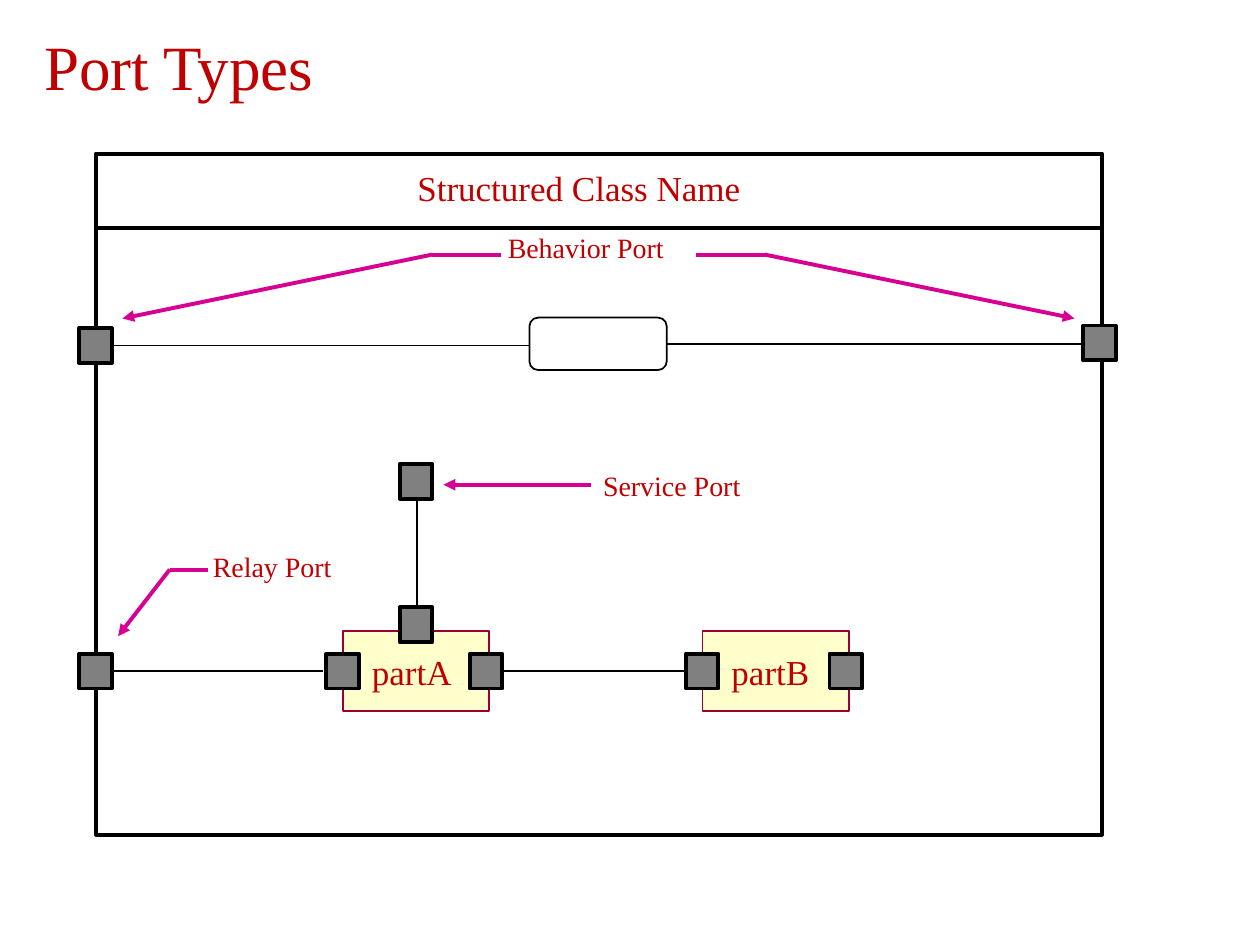
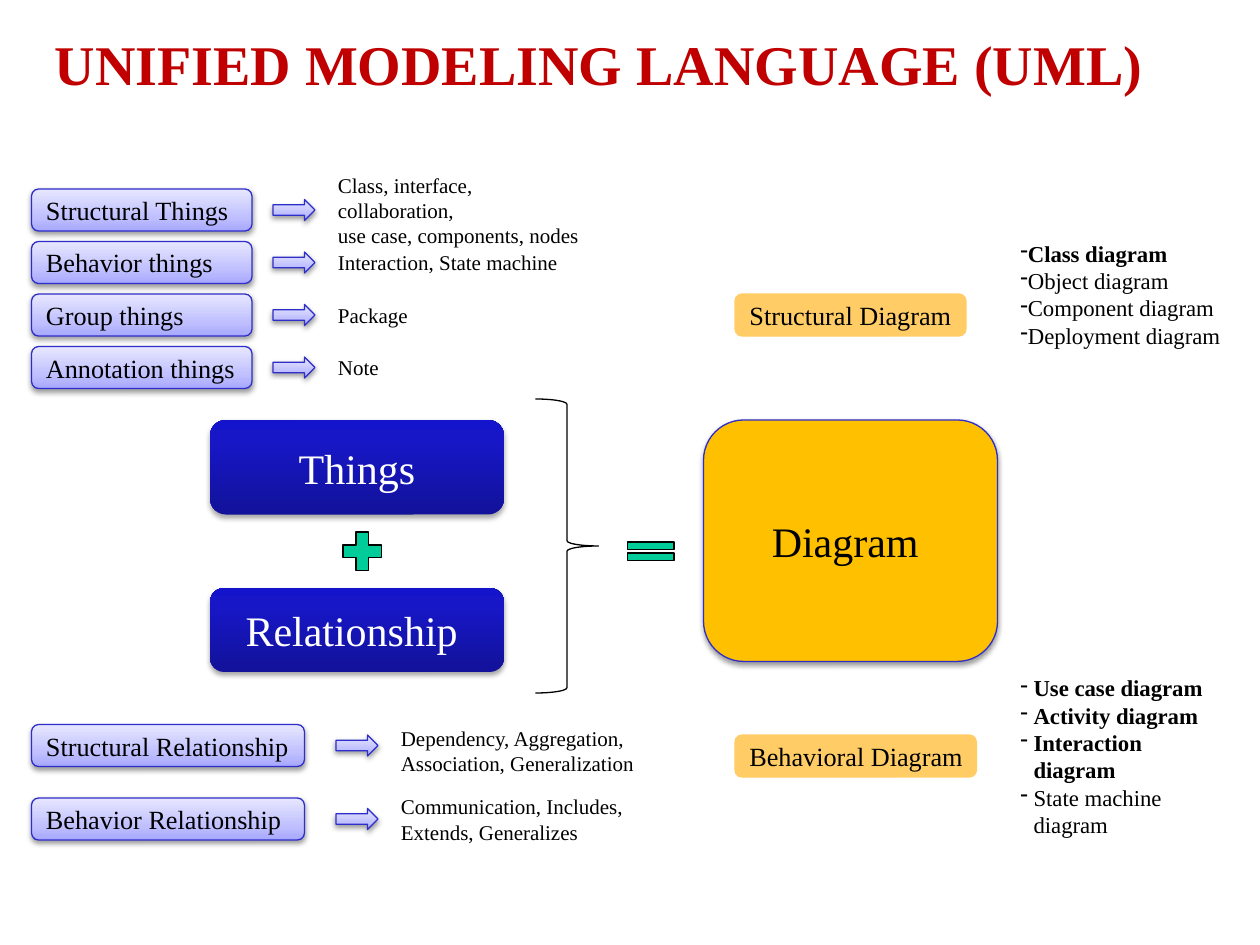
from lxml.etree import SubElement
from pptx import Presentation
from pptx.dml.color import RGBColor
from pptx.enum.shapes import MSO_CONNECTOR, MSO_SHAPE
from pptx.enum.text import MSO_ANCHOR, MSO_AUTO_SIZE, PP_ALIGN
from pptx.oxml import parse_xml
from pptx.oxml.ns import nsdecls, qn
from pptx.util import Pt

COLORS = {
    "red": "C00000", "black": "000000", "white": "FFFFFF", "port": "808080",
    "part": "FFFFCC", "part_line": "990033", "callout": "D60093",
    "blue_line": "2E2ECB", "gold": "FFC000", "sand": "FFCC66", "green": "00CC99",
}
GRADIENTS = {
    "deep_blue": [(0, "12129A"), (80, "1717C8"), (100, "1414CC")],
    "lavender": [(0, "A7A7FF"), (35, "C1C1FF"), (100, "E7E7FF")],
}
FONT = "Times New Roman"
RECT, ROUND = MSO_SHAPE.RECTANGLE, MSO_SHAPE.ROUNDED_RECTANGLE


def add_box(slide, preset, at, lines=(), fill=None, line=None, weight=0.75, shadow=None,
            size=15, color="black", align=PP_ALIGN.LEFT, hanging=None, margins=None):
    """Add a preset shape, or a text box when preset is None; lines holds (text, bold) pairs."""
    place = [Pt(value) for value in at]
    if preset is None:
        box = slide.shapes.add_textbox(*place)
    else:
        box = slide.shapes.add_shape(preset, *place)
        if fill in GRADIENTS:
            stops = "".join(
                f'<a:gs pos="{pos * 1000}"><a:srgbClr val="{rgb}"/></a:gs>'
                for pos, rgb in GRADIENTS[fill])
            box.element.spPr.append(parse_xml(
                f'<a:gradFill {nsdecls("a")} rotWithShape="1"><a:gsLst>{stops}</a:gsLst>'
                '<a:lin ang="16200000" scaled="0"/></a:gradFill>'))
        elif fill:
            box.fill.solid()
            box.fill.fore_color.rgb = RGBColor.from_string(COLORS[fill])
        else:
            box.fill.background()
        if line:
            box.line.color.rgb = RGBColor.from_string(COLORS[line])
            box.line.width = Pt(weight)
        else:
            box.line.fill.background()
        box.shadow.inherit = False
        if shadow:
            distance, opacity = shadow
            box.element.spPr.find(qn("a:effectLst")).append(parse_xml(
                f'<a:outerShdw {nsdecls("a")} blurRad="{Pt(3.1)}" dist="{Pt(distance)}" '
                'dir="5400000" rotWithShape="0"><a:srgbClr val="000000">'
                f'<a:alpha val="{opacity * 1000}"/></a:srgbClr></a:outerShdw>'))

    frame = box.text_frame
    frame.word_wrap = False
    frame.vertical_anchor = MSO_ANCHOR.MIDDLE
    if margins:
        across, down = margins
        frame.vertical_anchor = MSO_ANCHOR.TOP
        frame.auto_size = MSO_AUTO_SIZE.SHAPE_TO_FIT_TEXT
        frame.margin_left = frame.margin_right = Pt(across)
        frame.margin_top = frame.margin_bottom = Pt(down)
    for index, (text, bold) in enumerate(lines):
        paragraph = frame.paragraphs[0] if index == 0 else frame.add_paragraph()
        paragraph.alignment = align
        if hanging is not None:
            properties = paragraph._p.get_or_add_pPr()
            properties.set("marL", str(Pt(hanging)))
            properties.set("indent", str(-Pt(hanging)))
            SubElement(properties, qn("a:buChar")).set("char", "-")
        run = paragraph.add_run()
        run.text = text
        for name, value in {"name": FONT, "size": Pt(size), "bold": bold}.items():
            setattr(run.font, name, value)
        run.font.color.rgb = RGBColor.from_string(COLORS[color])


def add_line(slide, ends, color="black", weight=0.75, arrow=False):
    link = slide.shapes.add_connector(MSO_CONNECTOR.STRAIGHT, *[Pt(value) for value in ends])
    link.line.color.rgb = RGBColor.from_string(COLORS[color])
    link.line.width = Pt(weight)
    if arrow:
        SubElement(link.line._ln, qn("a:tailEnd")).set("type", "triangle")
    SubElement(link._element.spPr, qn("a:effectLst"))


deck = Presentation()
deck.slide_width, deck.slide_height = Pt(720), Pt(540)

# Both slides with their titles
slides = []
for heading, size, bold, left, top, width in [
    ("Port Types", 36, False, 18, 1.5, 684),
    ("UNIFIED MODELING LANGUAGE (UML)", 32, True, 24, 0, 690),
]:
    slide = deck.slides.add_slide(deck.slide_layouts[5])
    title = slide.shapes.title
    for name, value in {"left": left, "top": top, "width": width, "height": 72}.items():
        setattr(title, name, Pt(value))
    title.text_frame.text = heading
    title.text_frame.vertical_anchor = MSO_ANCHOR.MIDDLE
    title.text_frame.auto_size = MSO_AUTO_SIZE.NONE
    paragraph = title.text_frame.paragraphs[0]
    paragraph.alignment = PP_ALIGN.LEFT
    for name, value in {"name": FONT, "size": Pt(size), "bold": bold}.items():
        setattr(paragraph.runs[0].font, name, value)
    paragraph.runs[0].font.color.rgb = RGBColor.from_string(COLORS["red"])
    slides.append(slide)
ports, uml = slides

# Structured class: outline and name compartment
for height in (389, 42.5):
    add_box(ports, RECT, (55, 88, 574.5, height), line="black", weight=2.25)
add_box(ports, None, (238.5, 95, 186, 24.5), [("Structured Class Name", False)],
        size=20, color="red", margins=(0, 0))

# Parts
for part, left, text_width in [("partA", 196, 47.5), ("partB", 401.5, 44.5)]:
    add_box(ports, RECT, (left, 360.5, 83.5, 46), fill="part", line="part_line", weight=1)
    add_box(ports, None, (left + 16.5, 371.5, text_width, 24), [(part, False)],
            size=20, color="red", margins=(0, 0))

# Ports: the bottom row, then the class sides and the service pair
for left, top in [(x, 373.5) for x in (45.3, 186.5, 268.5, 392, 474)] + [
        (45.3, 187.5), (619, 186), (228.5, 265), (228.5, 347)]:
    add_box(ports, RECT, (left, top, 18.5, 20), fill="port", line="black", weight=2.25)

# Behavior state and the wires between ports
add_box(ports, ROUND, (302.5, 181.5, 78.5, 30), line="black", weight=1)
for wire in [(64, 383.5, 184.5, 383.5), (286.5, 383.5, 391.5, 383.5),
             (64, 197.3, 302.5, 197.3), (381, 196.5, 618.5, 196.5)]:
    add_line(ports, wire)
add_line(ports, (238.3, 347, 238.3, 286), weight=1)

# Callouts
for label, left, top, width in [("Behavior Port", 281.5, 127.5, 107),
                                ("Relay Port", 113, 309.5, 86),
                                ("Service Port", 336, 263.5, 96.5)]:
    add_box(ports, None, (left, top, width, 28), [(label, False)],
            size=16, color="red", margins=(8.64, 4.32))
for pointer in [(247, 145.5, 70, 182), (437, 145.5, 614, 182),
                (97, 325.5, 67.5, 363.5), (337.5, 277, 253.5, 277)]:
    add_line(ports, pointer, "callout", 2.25, arrow=True)
for stub in [(286.5, 145.5, 247, 145.5), (438.5, 145.5, 398, 145.5),
             (97, 325.5, 119, 325.5)]:
    add_line(ports, stub, "callout", 2.25)

# Things + Relationship = Diagram
for concept, top, height in [("Things", 240, 54), ("Relationship ", 336, 48)]:
    add_box(uml, ROUND, (120, top, 168, height), [(concept, False)], fill="deep_blue",
            shadow=(1.8, 35), size=24, color="white", align=PP_ALIGN.CENTER)
add_box(uml, ROUND, (402, 240, 168, 138), [("Diagram ", False)], fill="gold",
        line="blue_line", shadow=(1.6, 38), size=24, align=PP_ALIGN.CENTER)
add_box(uml, MSO_SHAPE.RIGHT_BRACE, (306, 228, 36, 168), line="black")
add_box(uml, MSO_SHAPE.MATH_PLUS, (192, 300, 30, 30), fill="green", line="black")
add_box(uml, MSO_SHAPE.MATH_EQUAL, (354, 306, 36, 18), fill="green", line="black")

# Kinds of things and relationships: label, arrow, examples
lavender = {"fill": "lavender", "line": "blue_line", "shadow": (1.6, 38)}
for kind, top, width, examples, examples_at in [
    ("Structural Things", 108, 126,
     ["Class, interface, collaboration,", "use case, components, nodes"], (102, 156, 36)),
    ("Behavior things", 138, 126, ["Interaction, State machine"], (138, 300, 24)),
    ("Group things", 168, 126, ["Package"], (168, 300, 24)),
    ("Annotation things", 198, 126, ["Note"], (198, 54, 24)),
    ("Structural Relationship", 414, 156,
     ["Dependency, Aggregation,", "Association, Generalization"], (414, 150, 30)),
    ("Behavior Relationship", 456, 156,
     ["Communication, Includes,", "Extends, Generalizes"], (456, 276, 24)),
]:
    arrow_left = 156 if width == 126 else 192
    add_box(uml, ROUND, (18, top, width, 24), [(kind, False)], **lavender)
    add_box(uml, MSO_SHAPE.RIGHT_ARROW, (arrow_left, top + 6, 24, 12), **lavender)
    examples_top, examples_width, examples_height = examples_at
    add_box(uml, None, (arrow_left + 30, examples_top, examples_width, examples_height),
            [(example, False) for example in examples], size=12)

# Diagram families and their lists
for family, top, width, list_top, hanging, diagrams in [
    ("Structural Diagram", 168, 132, 126, 0,
     [("Class diagram", True), ("Object diagram", False),
      ("Component diagram", False), ("Deployment diagram", False)]),
    ("Behavioral Diagram", 420, 138, 390, 7.5,
     [("Use case diagram", True), ("Activity diagram", True),
      ("Interaction diagram", True), ("State machine diagram", False)]),
]:
    add_box(uml, ROUND, (420, top, width, 24), [(family, False)], fill="sand", line="sand")
    add_box(uml, None, (576, list_top, 132, 84), diagrams, size=13, hanging=hanging)

deck.save("out.pptx")
